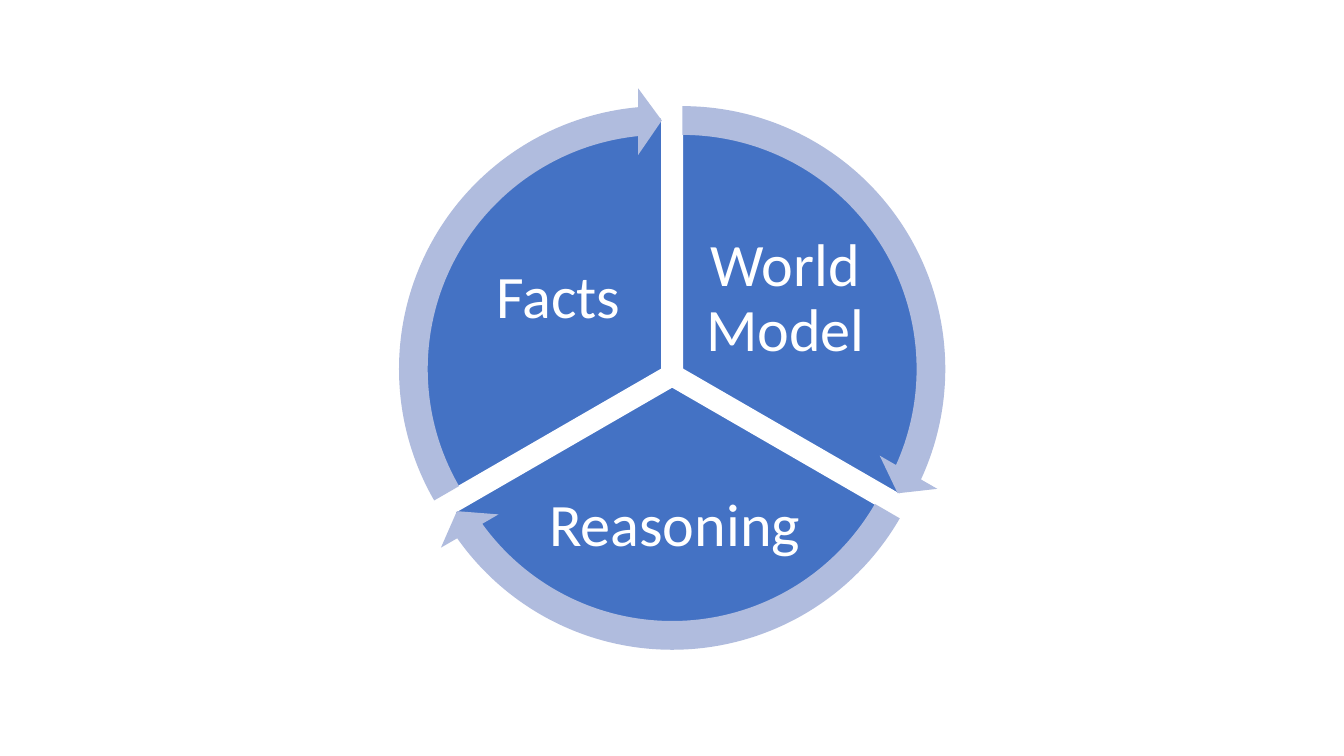
from math import cos, radians, sin

from pptx import Presentation
from pptx.dml.color import RGBColor
from pptx.enum.shapes import MSO_SHAPE
from pptx.enum.text import MSO_ANCHOR, PP_ALIGN
from pptx.util import Cm, Pt

BLUE = RGBColor(0x44, 0x72, 0xC4)
PALE = RGBColor(0xB0, 0xBC, 0xDE)
WHITE = RGBColor(0xFF, 0xFF, 0xFF)

CENTER_X, CENTER_Y = 16.94, 9.45
GAP = 0.3  # how far each sector is pushed out from the centre
PIE_SIZE, ARROW_SIZE = 12.65, 14.2
SWEEP = 120
HEAD_ANGLE = 19.65

# label, start angle in degrees, label box (left, top, width, height) in cm
SECTORS = [
    ("World Model", 270, (17.53, 5.66, 4.52, 3.76)),
    ("Reasoning", 30, (13.61, 11.63, 6.78, 3.3)),
    ("Facts", 150, (11.81, 5.66, 4.52, 3.76)),
]


def angle(degrees):
    """Degrees as an adjustment value (60000ths of a degree over 100000)."""
    return degrees % 360 * 0.6


class CycleSlide:
    font = "Calibri"
    size = Pt(43)

    def __init__(self, prs):
        self.s = prs.slides.add_slide(prs.slide_layouts[6])

    def round_shape(self, kind, size, start, fill, adjustments):
        """Add a shape centred on the sector that begins at start."""
        middle = radians(start + SWEEP / 2)
        x = CENTER_X + GAP * cos(middle) - size / 2
        y = CENTER_Y + GAP * sin(middle) - size / 2
        sp = self.s.shapes.add_shape(kind, Cm(x), Cm(y), Cm(size), Cm(size))
        for i, value in enumerate(adjustments):
            sp.adjustments[i] = value
        sp.shadow.inherit = False
        sp.fill.solid()
        sp.fill.fore_color.rgb = fill
        sp.line.fill.background()
        return sp

    def sector(self, start):
        sp = self.round_shape(MSO_SHAPE.PIE, PIE_SIZE, start, BLUE,
                              (angle(start), angle(start + SWEEP)))
        sp.line.color.rgb = WHITE
        sp.line.width = Pt(1)

    def arrow(self, start):
        end = start + SWEEP - HEAD_ANGLE / 3.6
        self.round_shape(MSO_SHAPE.CIRCULAR_ARROW, ARROW_SIZE, start, PALE,
                         (0.051, angle(HEAD_ANGLE / 3.6), angle(end),
                          angle(start), 0.059))

    def label(self, text, box):
        tf = self.s.shapes.add_textbox(*map(Cm, box)).text_frame
        tf.word_wrap = True
        tf.vertical_anchor = MSO_ANCHOR.MIDDLE
        tf.margin_left = tf.margin_right = Cm(0.15)
        tf.margin_top = tf.margin_bottom = Cm(0.15)
        p = tf.paragraphs[0]
        p.text = text
        p.alignment = PP_ALIGN.CENTER
        p.line_spacing = 0.9
        p.font.name = self.font
        p.font.size = self.size
        p.font.color.rgb = WHITE


def main():
    prs = Presentation()
    prs.slide_width, prs.slide_height = Cm(33.87), Cm(19.05)
    slide = CycleSlide(prs)
    for text, start, box in SECTORS:
        slide.sector(start)
        slide.label(text, box)
    for _, start, _ in SECTORS:
        slide.arrow(start)
    prs.save("out.pptx")


if __name__ == "__main__":
    main()
